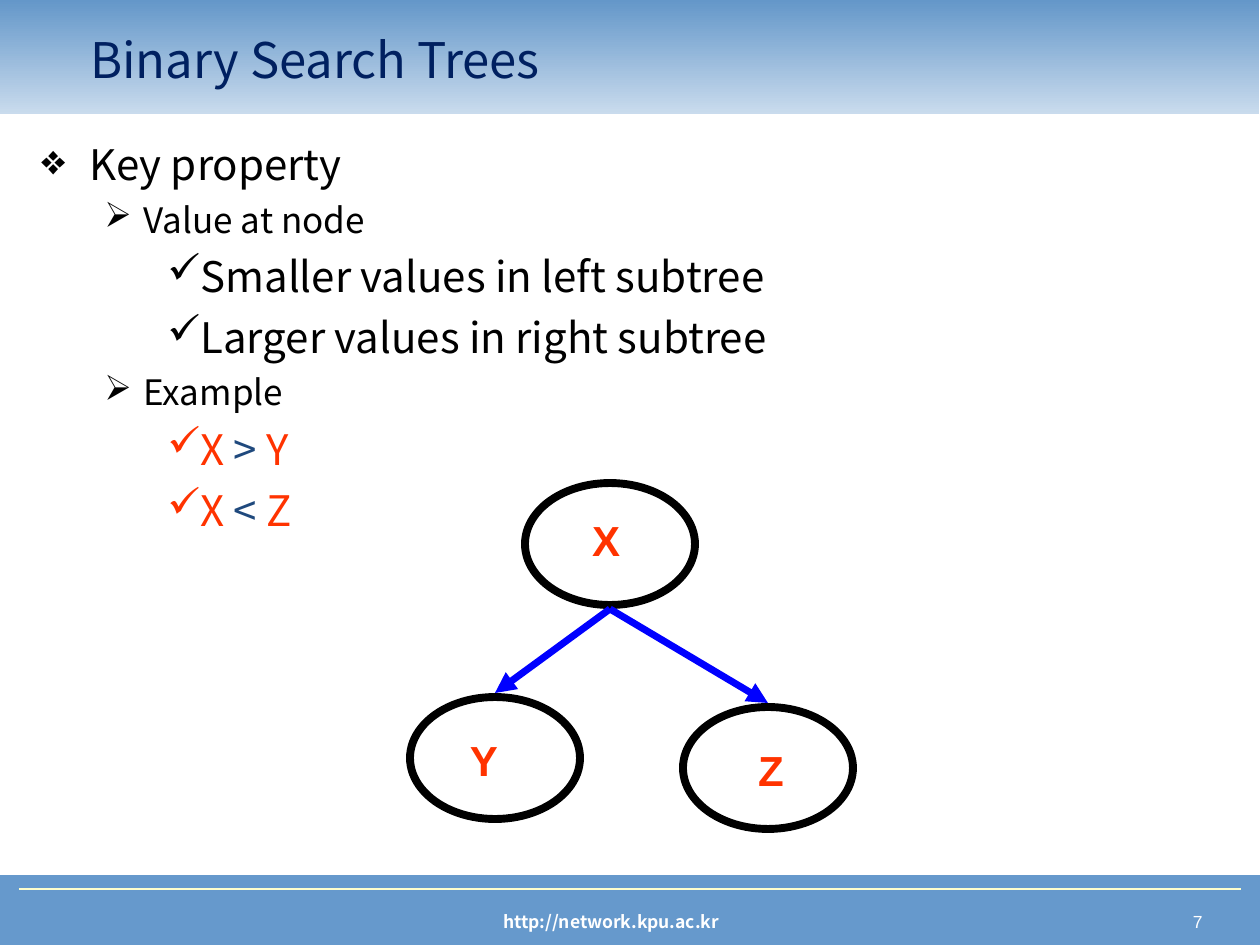
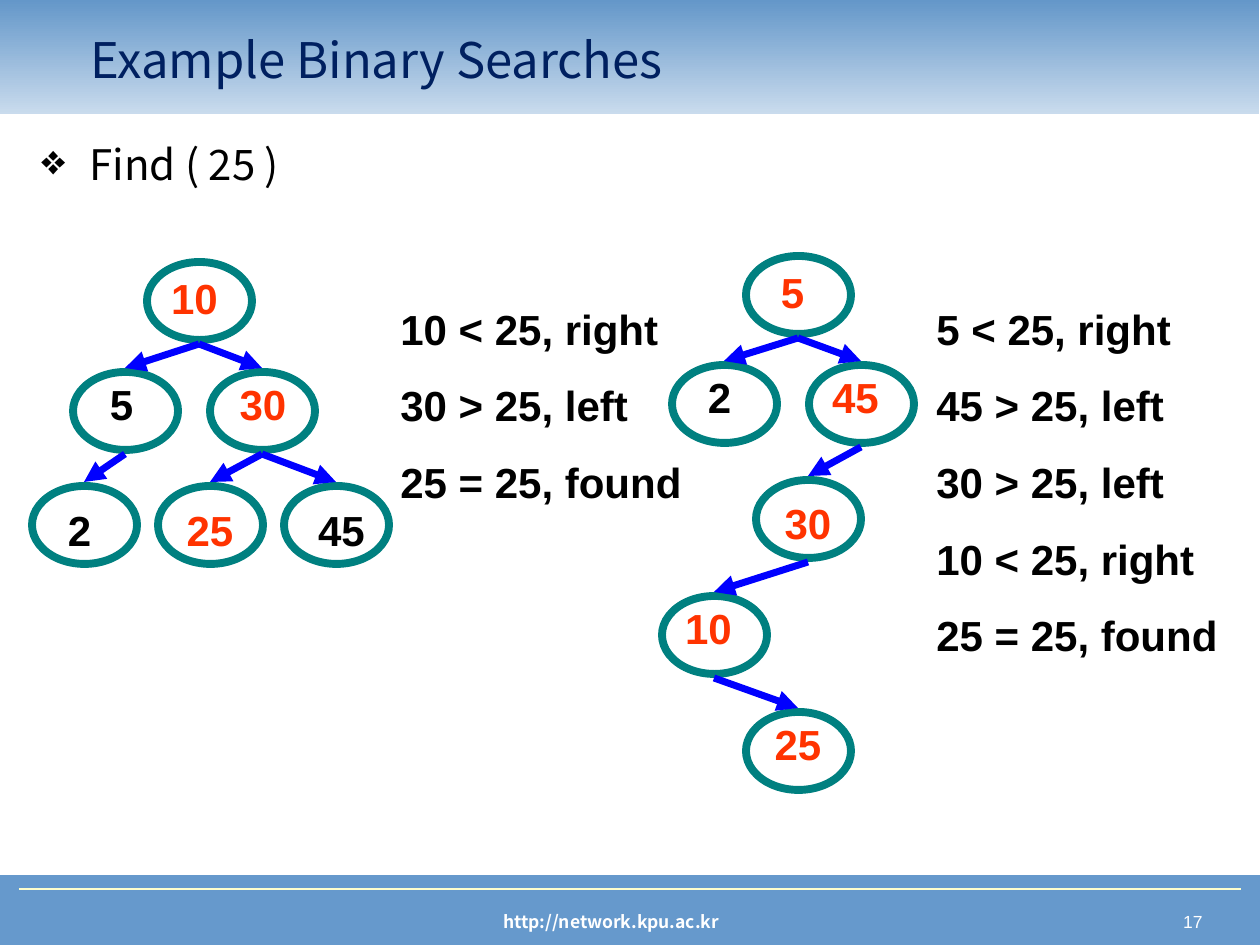
from lxml import etree
from pptx import Presentation
from pptx.dml.color import RGBColor
from pptx.enum.shapes import MSO_CONNECTOR, MSO_SHAPE
from pptx.enum.text import MSO_ANCHOR, PP_ALIGN
from pptx.oxml.ns import qn
from pptx.util import Emu, Pt

STRAIGHT = MSO_CONNECTOR.STRAIGHT
RECTANGLE, OVAL = MSO_SHAPE.RECTANGLE, MSO_SHAPE.OVAL
TOP, MIDDLE = MSO_ANCHOR.TOP, MSO_ANCHOR.MIDDLE
LEFT, CENTER, RIGHT = PP_ALIGN.LEFT, PP_ALIGN.CENTER, PP_ALIGN.RIGHT

EMU_PER_PX = 914400 / 126
SLIDE_W, SLIDE_H = 1260, 945
LABEL_H = 63
ARROW_GAP = 4
LINE_HEIGHT = 1.2

SANS, KOREAN = "Arial", "Noto Sans CJK KR"
COLORS = {
    "band": "6699CC",
    "band_top": "6497C9",
    "band_bottom": "C9DBED",
    "rule": "FFFFCC",
    "title": "002060",
    "black": "000000",
    "white": "FFFFFF",
    "visited": "FF3300",
    "operator": "1F497D",
    "arrow": "0000FF",
    "ring": "008080",
}

# Outline levels: bullet, left margin px, hanging px, size pt, space before pt
LEVELS = [
    ("❖", 48, 48, 24, 6),
    ("➢", 102, 39, 20, 5),
    ("✓", 158, 32, 24, 6),
]


def px(length):
    return Emu(round(length * EMU_PER_PX))


def rgb(color):
    return RGBColor.from_string(COLORS[color])


def style_run(run, size, font, color, bold=False):
    run.font.size = Pt(size)
    run.font.name = font
    run.font.bold = bold
    run.font.color.rgb = rgb(color)
    east_asian = etree.SubElement(run.font._element, qn("a:ea"))
    east_asian.set("typeface", font)


def add_frame(slide, box, wrap=True, anchor=TOP):
    frame = slide.shapes.add_textbox(*map(px, box)).text_frame
    frame.word_wrap = wrap
    frame.vertical_anchor = anchor
    return frame


def add_text(slide, box, text, size, font, color, bold=False,
             align=LEFT, gap=0, wrap=True, anchor=TOP):
    frame = add_frame(slide, box, wrap, anchor)
    frame.text = text
    for index, paragraph in enumerate(frame.paragraphs):
        paragraph.alignment = align
        paragraph.line_spacing = Pt(size * LINE_HEIGHT)
        paragraph.space_before = Pt(gap if index else 0)
        for run in paragraph.runs:
            style_run(run, size, font, color, bold)


def add_line(slide, start, end, color, width, arrow=False):
    line = slide.shapes.add_connector(STRAIGHT, *map(px, start + end))
    line.line.color.rgb = rgb(color)
    line.line.width = Pt(width)
    if arrow:
        head = etree.SubElement(line.line._get_or_add_ln(), qn("a:tailEnd"))
        head.set("type", "triangle")
    etree.SubElement(line._element.spPr, qn("a:effectLst"))


def add_band(slide, box):
    band = slide.shapes.add_shape(RECTANGLE, *map(px, box))
    band.shadow.inherit = False
    return band


def add_slide(deck, title, number):
    slide = deck.slides.add_slide(deck.slide_layouts[6])

    # Footer
    footer = add_band(slide, (0, 876, SLIDE_W, 69))
    footer.fill.solid()
    footer.fill.fore_color.rgb = rgb("band")
    footer.line.color.rgb = rgb("band")
    footer.line.width = Pt(0.75)
    add_text(slide, (935, 905, 280, 34), str(number), 10, SANS, "white", align=RIGHT)
    add_text(slide, (286, 905, 650, 34), "http://network.kpu.ac.kr", 10, KOREAN,
             "white", bold=True, align=CENTER)
    add_line(slide, (19, 889), (1241, 889), "rule", 1.5)

    # Title band, fading downwards
    header = add_band(slide, (-1, 0, SLIDE_W, 114))
    header.line.fill.background()
    header.fill.gradient()
    header.fill.gradient_angle = 90
    for stop, color in zip(header.fill.gradient_stops, ("band_bottom", "band_top")):
        stop.color.rgb = rgb(color)
    add_text(slide, (78, 20, 1064, 78), title, 28, KOREAN, "title", anchor=MIDDLE)
    return slide


def set_bullet(paragraph, char, color, margin, hanging):
    props = paragraph._p.get_or_add_pPr()
    props.set("marL", str(px(margin)))
    props.set("indent", str(-px(hanging)))
    bullet_color = etree.SubElement(props, qn("a:buClr"))
    etree.SubElement(bullet_color, qn("a:srgbClr")).set("val", COLORS[color])
    etree.SubElement(props, qn("a:buChar")).set("char", char)


def add_outline(slide, items):
    """Each item is a level and its (text, color) pieces."""
    frame = add_frame(slide, (29, 129, 1191, 728))
    frame.margin_top = px(10)
    for index, (level, pieces) in enumerate(items):
        bullet, margin, hanging, size, gap = LEVELS[level]
        paragraph = frame.add_paragraph() if index else frame.paragraphs[0]
        set_bullet(paragraph, bullet, pieces[0][1], margin, hanging)
        paragraph.level = level
        paragraph.line_spacing = Pt(size * LINE_HEIGHT)
        paragraph.space_before = Pt(gap if index else 0)
        for text, color in pieces:
            run = paragraph.add_run()
            run.text = text
            style_run(run, size, KOREAN, color)


def add_tree(slide, nodes, edges, node_size, ring):
    """Each node is key: (left, top, label dx, label dy, label width, color)."""
    width, height = node_size
    for left, top, *_ in nodes.values():
        node = slide.shapes.add_shape(OVAL, px(left), px(top), px(width), px(height))
        node.shadow.inherit = False
        node.fill.background()
        node.line.color.rgb = rgb(ring)
        node.line.width = Pt(4.5)
    for parent, child in edges:
        (parent_x, parent_y), (child_x, child_y) = nodes[parent][:2], nodes[child][:2]
        add_line(slide, (parent_x + width // 2, parent_y + height + ARROW_GAP),
                 (child_x + width // 2, child_y - ARROW_GAP), "arrow", 4, arrow=True)
    for key, (left, top, dx, dy, label_width, color) in nodes.items():
        add_text(slide, (left + dx, top + dy, label_width, LABEL_H), key, 24, SANS,
                 color, bold=True, align=CENTER, wrap=False)


def add_steps(slide, left, height, steps):
    add_text(slide, (left, 297, 315, height), "\n".join(steps), 24, SANS, "black",
             bold=True, gap=15)


def build_key_property(deck):
    slide = add_slide(deck, "Binary Search Trees", 7)

    def comparison(sign, other):
        return [("X ", "visited"), (sign, "operator"), (" " + other, "visited")]

    add_outline(slide, [
        (0, [("Key property", "black")]),
        (1, [("Value at node", "black")]),
        (2, [("Smaller values in left subtree", "black")]),
        (2, [("Larger values in right subtree", "black")]),
        (1, [("Example", "black")]),
        (2, comparison(">", "Y")),
        (2, comparison("<", "Z")),
    ])
    nodes = {
        "X": (525, 483, 21, 25, 120, "visited"),
        "Y": (410, 697, 31, 31, 86, "visited"),
        "Z": (683, 707, 20, 31, 136, "visited"),
    }
    add_tree(slide, nodes, ["XZ", "XY"], (170, 122), "black")


def build_searches(deck):
    slide = add_slide(deck, "Example Binary Searches", 17)
    add_outline(slide, [(0, [("Find ( 25 )", "black")])])
    node_size = (105, 78)

    # Balanced tree
    balanced = {
        "10": (147, 262, 11, 4, 73, "visited"),
        "5": (73, 372, 22, 0, 53, "black"),
        "30": (210, 372, 11, 0, 84, "visited"),
        "2": (32, 486, 21, 12, 53, "black"),
        "25": (158, 486, 10, 12, 84, "visited"),
        "45": (284, 486, 21, 12, 73, "black"),
    }
    balanced_edges = [("10", "5"), ("10", "30"), ("5", "2"), ("30", "25"), ("30", "45")]
    add_tree(slide, balanced, balanced_edges, node_size, "ring")
    add_steps(slide, 388, 217, ["10 < 25, right", "30 > 25, left", "25 = 25, found"])

    # Unbalanced tree
    unbalanced = {
        "5": (746, 256, 20, 4, 53, "visited"),
        "2": (672, 365, 21, 0, 53, "black"),
        "45": (809, 365, 10, 0, 73, "visited"),
        "30": (756, 480, 10, 11, 84, "visited"),
        "10": (662, 596, 10, 0, 73, "visited"),
        "25": (746, 712, 10, 0, 84, "visited"),
    }
    unbalanced_edges = [("5", "2"), ("5", "45"), ("45", "30"), ("30", "10"), ("10", "25")]
    add_tree(slide, unbalanced, unbalanced_edges, node_size, "ring")
    add_steps(slide, 924, 370, ["5 < 25, right", "45 > 25, left", "30 > 25, left",
                                "10 < 25, right", "25 = 25, found"])


def main():
    deck = Presentation()
    deck.slide_width, deck.slide_height = px(SLIDE_W), px(SLIDE_H)
    build_key_property(deck)
    build_searches(deck)
    deck.save("out.pptx")


if __name__ == "__main__":
    main()
